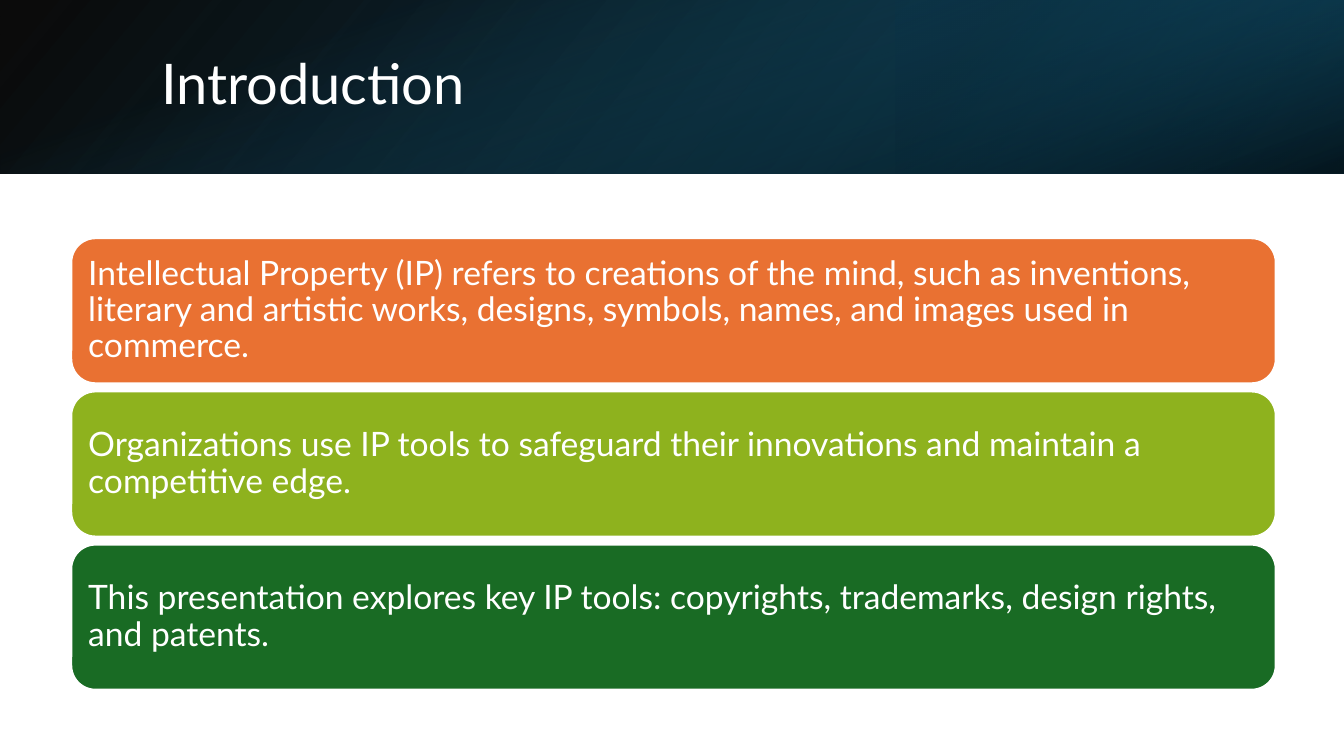
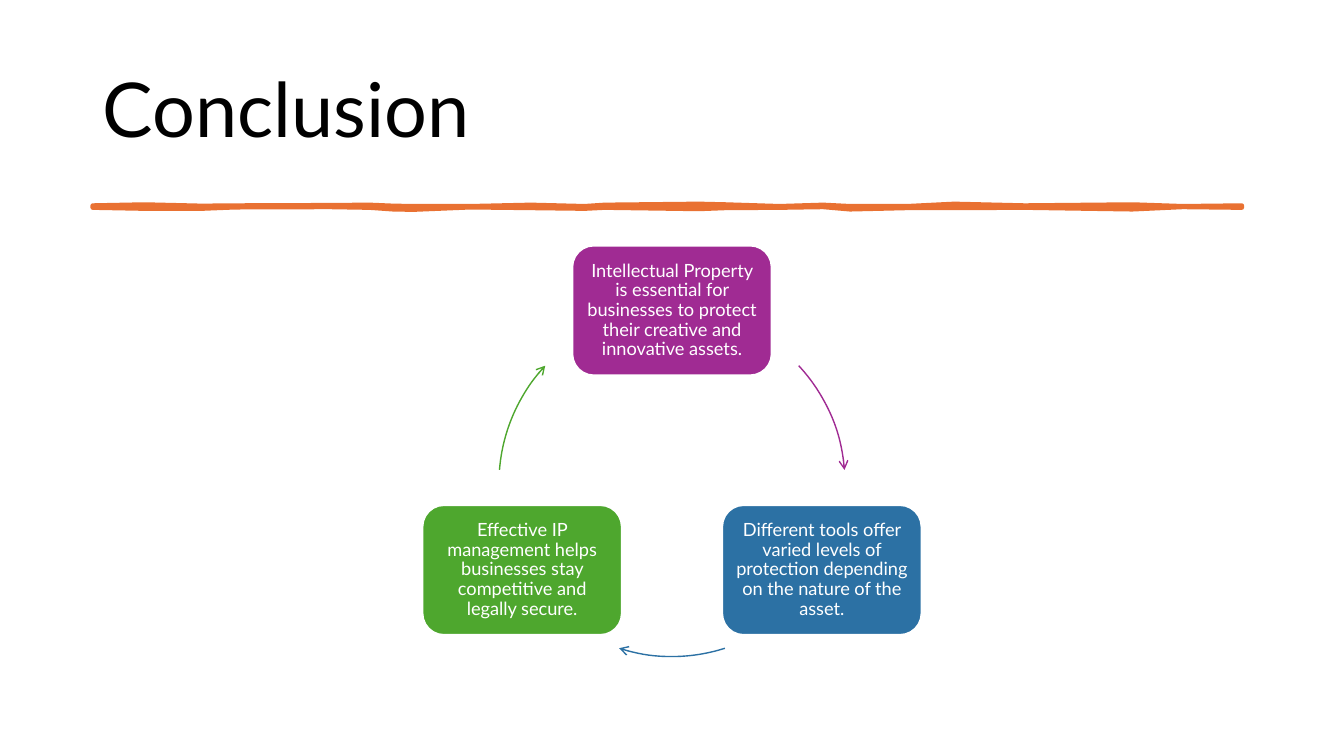
import math

import pptx
import pptx.dml.color
import pptx.enum.shapes
import pptx.enum.text
import pptx.oxml
import pptx.oxml.ns
import pptx.util

COLS, ROWS = 40, 22.5
CELL = pptx.util.Inches(1) / 3
FONT = "Lato"
COLORS = {
    "white": "FFFFFF", "black": "000000", "teal": "156082",
    "deep": "104862", "night": "0B3041", "orange": "E97132",
    "lime": "8EB21E", "forest": "196B24", "purple": "A02B93",
    "blue": "2C71A4", "green": "4EA72E",
}
SHAPE = pptx.enum.shapes.MSO_SHAPE
ALIGN = pptx.enum.text.PP_ALIGN


def cells(*lengths):
    return [round(n * CELL) for n in lengths]


def rgb(name):
    return pptx.dml.color.RGBColor.from_string(COLORS[name])


def xml(tag, attributes="", body=""):
    ns = pptx.oxml.ns.nsdecls("a")
    return pptx.oxml.parse_xml(f"<a:{tag} {ns} {attributes}>{body}</a:{tag}>")


def put_text(tf, text, *, size, color="white", align=ALIGN.LEFT, inset=(0.1, 0.05)):
    tf.word_wrap = True
    tf.auto_size = pptx.enum.text.MSO_AUTO_SIZE.NONE
    tf.vertical_anchor = pptx.enum.text.MSO_ANCHOR.MIDDLE
    tf.margin_left = tf.margin_right = pptx.util.Inches(inset[0])
    tf.margin_top = tf.margin_bottom = pptx.util.Inches(inset[1])
    p = tf.paragraphs[0]
    p.alignment = align
    p.line_spacing = 0.9
    r = p.add_run()
    r.text = text
    r.font.name = FONT
    r.font.size = pptx.util.Pt(size)
    r.font.color.rgb = rgb(color)


class Deck:
    def __init__(self):
        self.prs = pptx.Presentation()
        self.prs.slide_width, self.prs.slide_height = cells(COLS, ROWS)

    def new_slide(self):
        self.slide = self.prs.slides.add_slide(self.prs.slide_layouts[5])
        self.shapes = self.slide.shapes

    def title(self, text, area, **style):
        sp = self.shapes.title
        sp.left, sp.top, sp.width, sp.height = cells(*area)
        put_text(sp.text_frame, text, **style)
        self.shapes._spTree.append(sp._element)

    def preset(self, kind, area, fill=None, line=None, width=1):
        sp = self.shapes.add_shape(kind, *cells(*area))
        self.paint(sp, fill, line, width)
        return sp

    def paint(self, sp, fill, line, width):
        sp.shadow.inherit = False
        if fill:
            sp.fill.solid()
            sp.fill.fore_color.rgb = rgb(fill)
        else:
            sp.fill.background()
        if line:
            sp.line.color.rgb = rgb(line)
            sp.line.width = pptx.util.Pt(width)
        else:
            sp.line.fill.background()

    def gradient(self, area, stops, angle, rotation=0, flip=False):
        sp = self.preset(SHAPE.RECTANGLE, area)
        sp.rotation = rotation
        spPr = sp._element.spPr
        if flip:
            spPr.xfrm.set("flipH", "1")
        gs = "".join(
            f'<a:gs pos="{pos * 1000}"><a:srgbClr val="{COLORS[color]}">'
            f'<a:alpha val="{alpha * 1000}"/></a:srgbClr></a:gs>'
            for pos, color, alpha in stops)
        blend = xml("gradFill", body=f"<a:gsLst>{gs}</a:gsLst>"
                    f'<a:lin ang="{angle * 60000}" scaled="0"/>')
        spPr.replace(spPr.find(pptx.oxml.ns.qn("a:noFill")), blend)

    def card(self, text, area, fill, **style):
        sp = self.preset(SHAPE.ROUNDED_RECTANGLE, area, fill, "white", 1.5)
        put_text(sp.text_frame, text, **style)

    def arc_arrow(self, center, radius, start, end, color):
        area = (center[0] - radius, center[1] - radius, 2 * radius, 2 * radius)
        sp = self.preset(SHAPE.ARC, area, line=color)
        for i, angle in enumerate((start, end)):
            sp.adjustments[i] = angle * 0.6
        sp.line._get_or_add_ln().append(xml("tailEnd", 'type="arrow"'))

    def brush_rule(self, row, profile, color):
        upper = [cells(x, row - up) for x, up, down in profile]
        lower = [cells(x, row + down) for x, up, down in reversed(profile)]
        builder = self.shapes.build_freeform(*upper[0])
        builder.add_line_segments(upper[1:] + lower, close=True)
        sp = builder.convert_to_shape()
        self.paint(sp, color, color, 3.25)
        sp.line._get_or_add_ln().append(xml("round"))


def introduction(deck):
    deck.new_slide()
    band = 5.16
    third = COLS / 3
    deck.gradient((0, 0, COLS, band), [(0, "black", 96), (100, "deep", 100)],
                  140, flip=True)
    deck.gradient((COLS - third, 0, third, band),
                  [(19, "night", 68), (100, "teal", 79)], 320, 180, True)
    shift = (COLS - band) / 2
    deck.gradient((shift, -shift, band, COLS),
                  [(23, "teal", 0), (99, "black", 74)], 340, 90)
    deck.title("Introduction", (4.5, 1.14, 32.94, 2.88), size=40)
    points = [
        ("orange", "Intellectual Property (IP) refers to creations of the mind, "
         "such as inventions, literary and artistic works, designs, symbols, "
         "names, and images used in commerce."),
        ("lime", "Organizations use IP tools to safeguard their innovations "
         "and maintain a competitive edge."),
        ("forest", "This presentation explores key IP tools: copyrights, "
         "trademarks, design rights, and patents."),
    ]
    for i, (fill, text) in enumerate(points):
        deck.card(text, (2.12, 7.09 + 4.56 * i, 35.85, 4.32), fill,
                  size=24, inset=(0.1, 0.1))


def conclusion(deck):
    deck.new_slide()
    deck.title("Conclusion", (2.76, 1.2, 34.5, 4.35), size=54, color="black")
    profile = [
        (2.76, 0.03, 0.03), (4.3, 0.06, 0.06), (6, 0.02, 0.06),
        (7, 0.03, 0.02), (9.8, 0.04, 0.01), (11, 0.05, 0.03),
        (11.7, 0.02, 0.08), (12.3, 0.01, 0.09), (14, 0.01, 0.02),
        (15.8, 0.05, 0.04), (17.4, 0.01, 0.06), (18, 0.05, 0.03),
        (20.8, 0.08, 0.07), (21.6, 0.06, 0.04), (23.2, 0.01, 0.03),
        (24.5, 0.05, 0.01), (25.3, 0.01, 0.08), (27, 0.01, 0.04),
        (28.4, 0.08, 0.04), (30.5, 0.03, 0.03), (33.7, 0.06, 0.08),
        (35.2, 0.01, 0.01), (36.96, 0.03, 0.03),
    ]
    deck.brush_rule(6.15, profile, "orange")
    center, radius = (COLS / 2, 14.39), 5.15
    width, height = 5.94, 3.87
    steps = [
        ("purple", 317.1, 355.5, "Intellectual Property is essential for "
         "businesses to protect their creative and innovative assets."),
        ("blue", 72.2, 107.8, "Different tools offer varied levels of "
         "protection depending on the nature of the asset."),
        ("green", 184.5, 222.9, "Effective IP management helps businesses "
         "stay competitive and legally secure."),
    ]
    for i, (color, start, end, text) in enumerate(steps):
        angle = math.radians(120 * i - 90)
        left = center[0] + radius * math.cos(angle) - width / 2
        top = center[1] + radius * math.sin(angle) - height / 2
        deck.card(text, (left, top, width, height), color,
                  size=13, align=ALIGN.CENTER, inset=(0.05, 0.05))
        deck.arc_arrow(center, radius, start, end, color)


def main():
    deck = Deck()
    introduction(deck)
    conclusion(deck)
    deck.prs.save("out.pptx")


if __name__ == "__main__":
    main()
